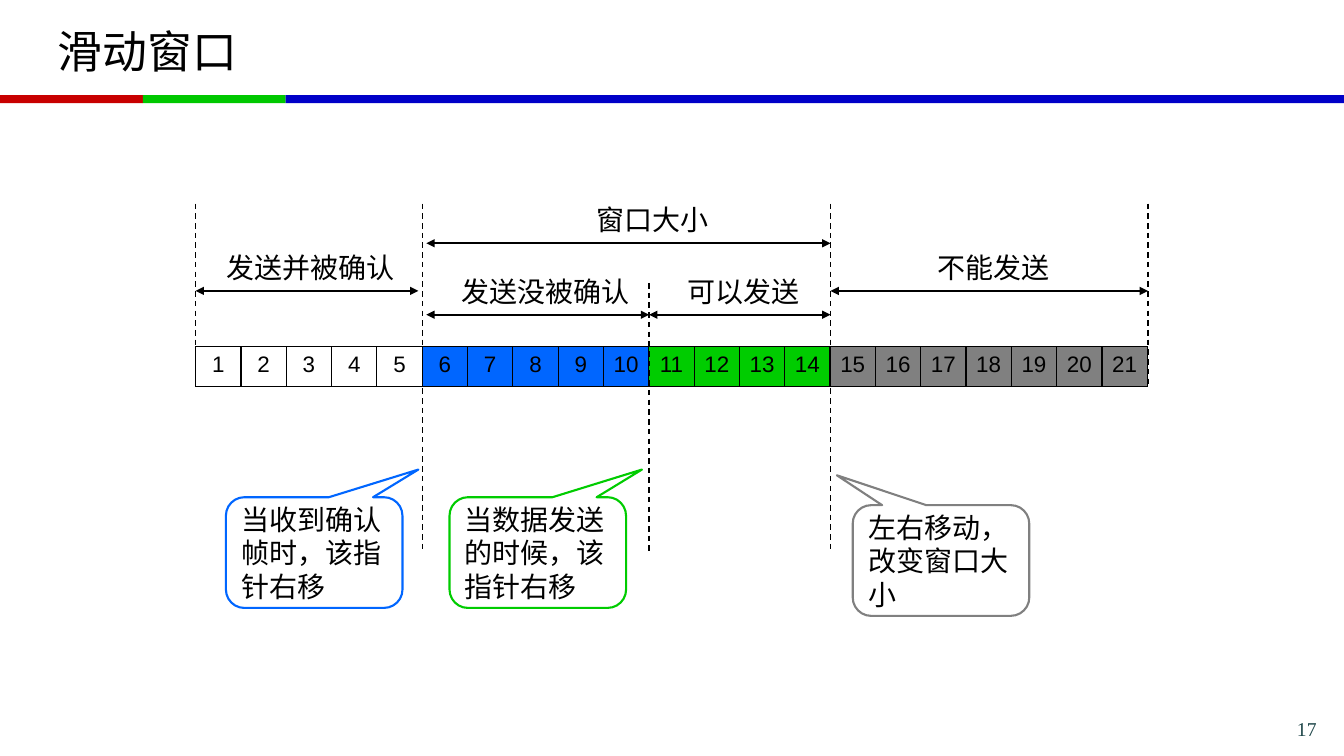
from lxml import etree
from pptx import Presentation
from pptx import util as u
from pptx.dml.color import RGBColor
from pptx.enum import dml, shapes, text
from pptx.oxml import ns

Cm, Pt = u.Cm, u.Pt
BLACK = RGBColor(0, 0, 0)
SLATE = RGBColor(0x1E, 0x46, 0x49)
RULE_RED = RGBColor(0xC8, 0, 0)
RULE_GREEN = RGBColor(0, 0xC8, 0)
RULE_BLUE = RGBColor(0, 0, 0xC8)
SENT_BLUE = RGBColor(0, 0x66, 0xFF)
READY_GREEN = RGBColor(0, 0xCC, 0)
BLOCKED_GRAY = RGBColor(0x80, 0x80, 0x80)
CJK = "Noto Sans CJK SC"
CENTER = text.PP_ALIGN.CENTER
MIDDLE = text.MSO_ANCHOR.MIDDLE

SLIDE_WIDTH, SLIDE_HEIGHT = 33.87, 19.05
FRAMES = 21
ACKED, SENT, WINDOW_END = 5, 10, 14


def write(frame, wording, size=20, font=CJK, color=BLACK,
          align=text.PP_ALIGN.LEFT, anchor=None, leading=None):
    frame.word_wrap = True
    if anchor is not None:
        frame.vertical_anchor = anchor
    line = frame.paragraphs[0]
    line.alignment = align
    if leading:
        line.line_spacing = Pt(leading)
    run = line.add_run()
    run.text = wording
    run.font.size = Pt(size)
    run.font.color.rgb = color
    run.font.name = font
    etree.SubElement(run.font._element, ns.qn("a:ea"), typeface=font)


def draw_line(slide, x1, y1, x2, y2, weight=1.0, dashed=False, arrows=False):
    line = slide.shapes.add_connector(
        shapes.MSO_CONNECTOR.STRAIGHT, Cm(x1), Cm(y1), Cm(x2), Cm(y2))
    line.line.color.rgb = BLACK
    line.line.width = Pt(weight)
    if dashed:
        line.line.dash_style = dml.MSO_LINE.DASH
    if arrows:
        for end in ("a:headEnd", "a:tailEnd"):
            etree.SubElement(line.line._get_or_add_ln(), ns.qn(end), type="triangle")
    etree.SubElement(line._element.spPr, ns.qn("a:effectLst"))


def draw_header(slide, left, top, width):
    title = slide.shapes.title
    title.left, title.top = Cm(left + 1.2), Cm(top + 0.2)
    title.width, title.height = Cm(width - 2.4), Cm(2.13)
    title.text_frame.auto_size = text.MSO_AUTO_SIZE.NONE
    write(title.text_frame, "滑动窗口", size=32, anchor=MIDDLE)
    red_end, green_end = 3.6, 7.2
    for start, end, color in ((0, red_end, RULE_RED), (red_end, green_end, RULE_GREEN),
                              (green_end, width, RULE_BLUE)):
        rule = slide.shapes.add_shape(
            shapes.MSO_SHAPE.RECTANGLE, Cm(left + start), Cm(top + 2.4),
            Cm(end - start), Cm(0.2))
        rule.shadow.inherit = False
        rule.fill.solid()
        rule.fill.fore_color.rgb = color
        rule.line.fill.background()


def draw_page_number(slide, left, top, width):
    page = slide.shapes.add_textbox(Cm(left), Cm(top), Cm(width), Cm(0.6))
    write(page.text_frame, "17", size=14, font="Times New Roman", color=SLATE,
          align=text.PP_ALIGN.RIGHT)


def outline_cell(cell):
    for side in ("a:lnL", "a:lnR", "a:lnT", "a:lnB"):
        edge = etree.Element(ns.qn(side), w=str(Pt(1)))
        ink = etree.SubElement(edge, ns.qn("a:solidFill"))
        etree.SubElement(ink, ns.qn("a:srgbClr"), val=str(BLACK))
        cell._tc.get_or_add_tcPr().append(edge)


def draw_frames(slide, left, top, width):
    frames = slide.shapes.add_table(
        1, FRAMES, Cm(left), Cm(top), Cm(width), Cm(1)).table
    frames.first_row = frames.horz_banding = False
    for number in range(1, FRAMES + 1):
        frames.columns[number - 1].width = Cm(width / FRAMES)
        cell = frames.cell(0, number - 1)
        cell.margin_left = cell.margin_right = 0
        outline_cell(cell)
        if number <= ACKED:
            cell.fill.background()
        else:
            cell.fill.solid()
            cell.fill.fore_color.rgb = (
                SENT_BLUE if number <= SENT
                else READY_GREEN if number <= WINDOW_END else BLOCKED_GRAY)
        write(cell.text_frame, str(number), size=16, font="Arial", align=CENTER)


def draw_span(slide, left, top, right, wording, label_shift=0.1):
    draw_line(slide, left, top, right, top, weight=1.5, arrows=True)
    label_width = 5
    label_left = (left + right - label_width) / 2 + label_shift
    label = slide.shapes.add_textbox(
        Cm(label_left), Cm(top - 1.14), Cm(label_width), Cm(1.1))
    write(label.text_frame, wording, align=CENTER, leading=24)


def draw_callout(slide, left, top, wording, color, tip):
    callout = slide.shapes.add_shape(
        shapes.MSO_SHAPE.ROUNDED_RECTANGULAR_CALLOUT,
        Cm(left), Cm(top), Cm(4.45), Cm(2.79))
    callout.shadow.inherit = False
    callout.fill.background()
    callout.line.color.rgb = color
    callout.line.width = Pt(1.5)
    callout.adjustments[0], callout.adjustments[1] = tip
    write(callout.text_frame, wording, anchor=MIDDLE, leading=24)


def draw_window(slide, left, top, width):
    def after(number):
        return left + number * width / FRAMES

    draw_frames(slide, left, top + 3.81, width)

    for number, start, end in ((0, 0.2, 4.8), (ACKED, 0.2, 9), (SENT, 2.2, 9),
                               (WINDOW_END, 0.2, 9), (FRAMES, 0.2, 4.8)):
        draw_line(slide, after(number), top + start, after(number), top + end,
                  dashed=True)

    gap = 0.1
    window_left = after(ACKED) + gap
    draw_span(slide, left, top + 2.4, after(ACKED) - gap, "发送并被确认")
    draw_span(slide, window_left, top + 3, after(SENT), "发送没被确认", label_shift=0.2)
    draw_span(slide, after(SENT), top + 3, after(WINDOW_END), "可以发送")
    draw_span(slide, after(WINDOW_END), top + 2.4, after(FRAMES), "不能发送")
    draw_span(slide, window_left, top + 1.2, after(WINDOW_END), "窗口大小", label_shift=0.6)

    right_tip, left_tip = (0.59, -0.75), (-0.59, -0.77)
    draw_callout(slide, after(ACKED) - 4.95, top + 7.6,
                 "当收到确认帧时，该指针右移", SENT_BLUE, right_tip)
    draw_callout(slide, after(SENT) - 5.03, top + 7.6,
                 "当数据发送的时候，该指针右移", READY_GREEN, right_tip)
    draw_callout(slide, after(WINDOW_END) + 0.56, top + 7.8,
                 "左右移动，改变窗口大小", BLOCKED_GRAY, left_tip)


def main():
    deck = Presentation()
    deck.slide_width, deck.slide_height = Cm(SLIDE_WIDTH), Cm(SLIDE_HEIGHT)
    slide = deck.slides.add_slide(deck.slide_layouts[5])
    draw_header(slide, 0, 0, SLIDE_WIDTH)
    draw_window(slide, 4.93, 4.93, 24)
    draw_page_number(slide, 25.53, 17.93, 7.9)
    deck.save("out.pptx")


if __name__ == "__main__":
    main()
